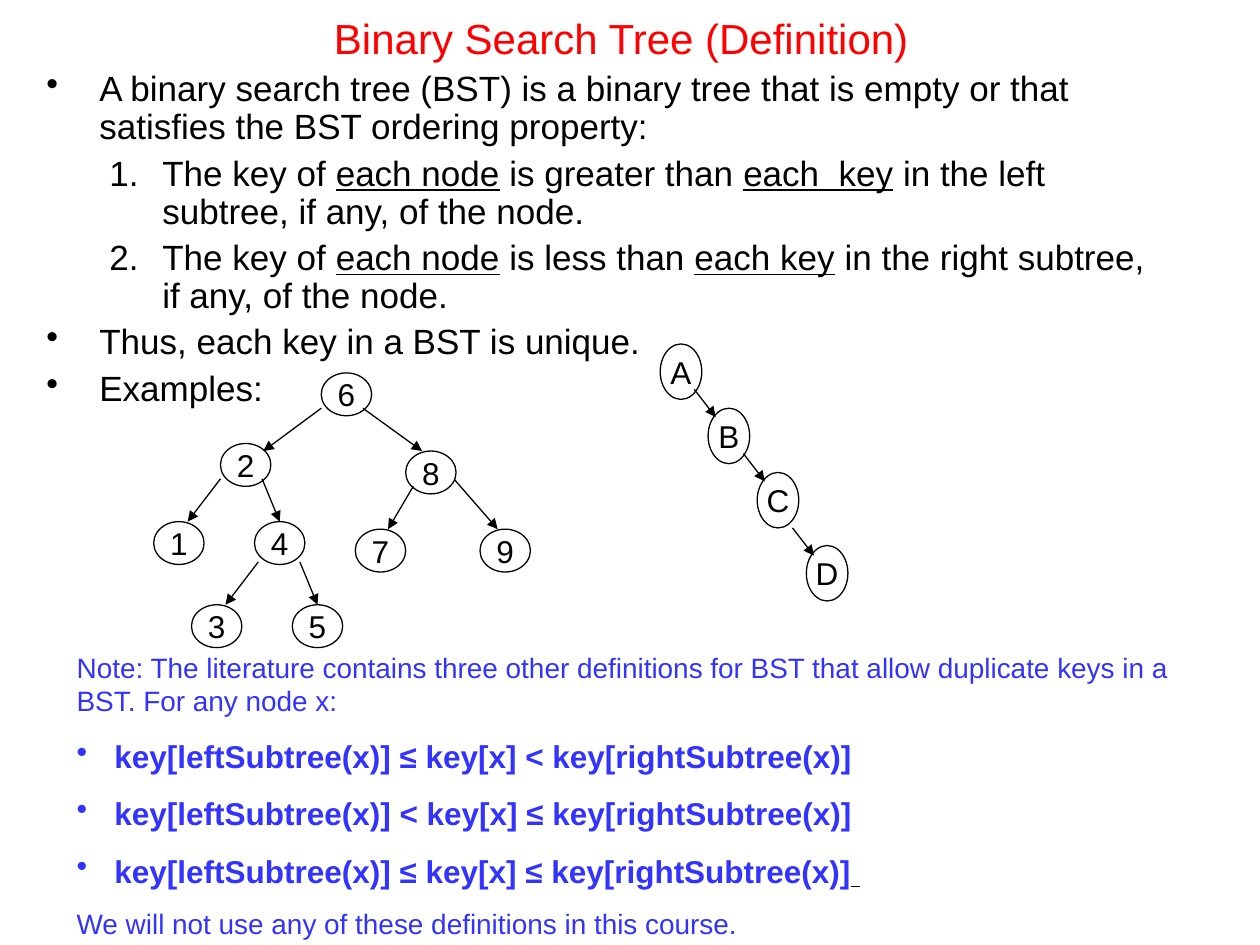
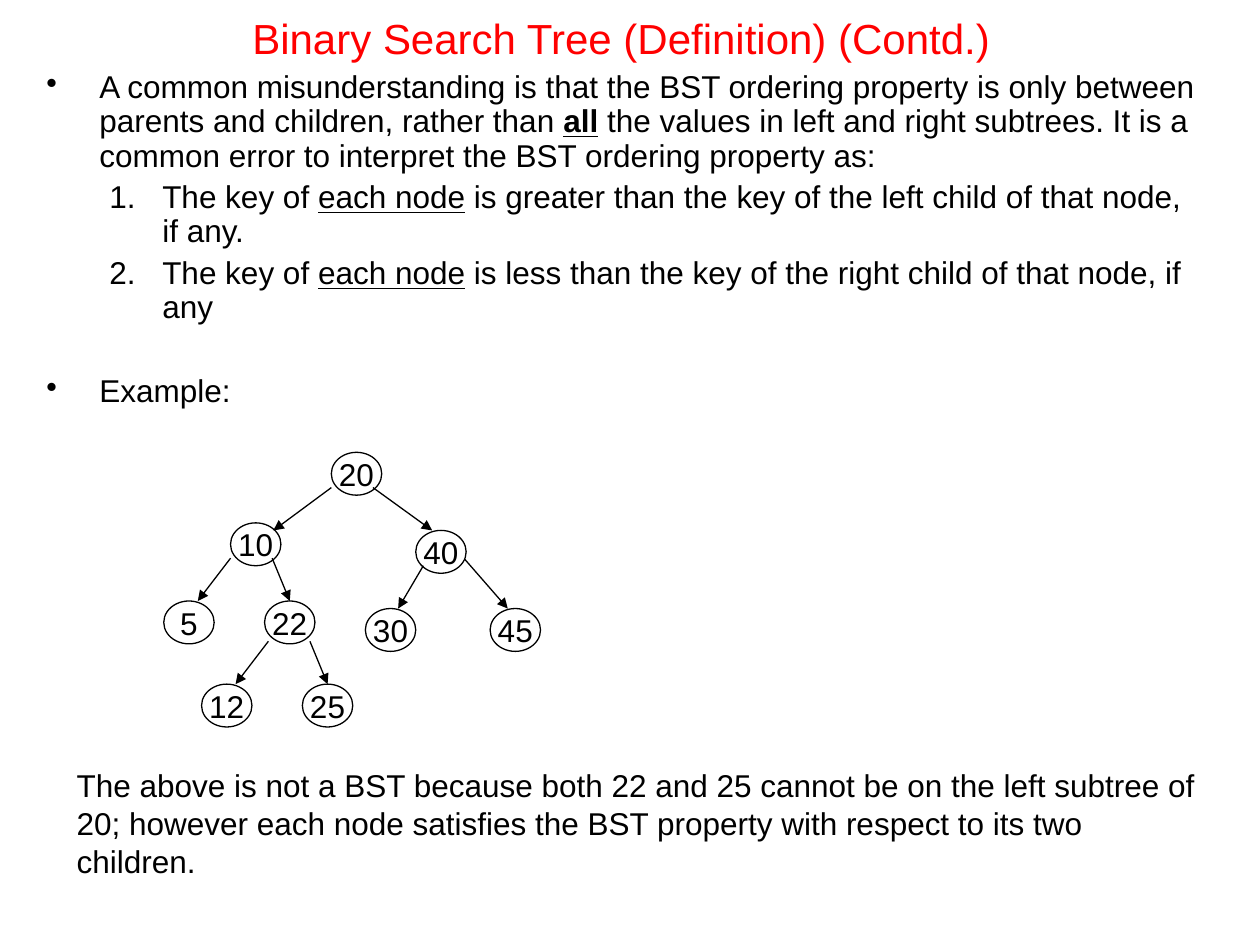
"""Build two slides that define binary search trees and show example trees."""
from dataclasses import dataclass

from lxml import etree
from pptx import Presentation
from pptx.dml.color import RGBColor
from pptx.enum.shapes import MSO_CONNECTOR, MSO_SHAPE
from pptx.enum.text import MSO_ANCHOR, PP_ALIGN
from pptx.oxml.ns import qn
from pptx.util import Inches, Pt

ELLIPSE = MSO_SHAPE.OVAL
STRAIGHT = MSO_CONNECTOR.STRAIGHT
MIDDLE = MSO_ANCHOR.MIDDLE
TOP = MSO_ANCHOR.TOP
CENTER = PP_ALIGN.CENTER
LEFT = PP_ALIGN.LEFT


@dataclass(frozen=True)
class Theme:
    font: str = "Arial"
    ink: RGBColor = RGBColor(0x00, 0x00, 0x00)
    title_red: RGBColor = RGBColor(0xFF, 0x00, 0x00)
    note_blue: RGBColor = RGBColor(0x33, 0x33, 0xFF)
    title_size: int = 24
    large_size: int = 20
    text_size: int = 18
    note_size: int = 16
    line_width: float = 0.75


@dataclass(frozen=True)
class ListStyle:
    level: int = 0
    margin: float = 0
    hanging: float = 0
    tag: str = ""
    attribute: str = ""
    value: str = ""


THEME = Theme()
PLAIN = ListStyle()
BULLET = ListStyle(0, 0.42, 0.42, "a:buChar", "char", "•")
NUMBER = ListStyle(1, 0.92, 0.42, "a:buAutoNum", "type", "arabicPeriod")
NOTE_BULLET = ListStyle(0, 0.3, 0.3, "a:buChar", "char", "•")

presentation = Presentation()
presentation.slide_width = Inches(10)
presentation.slide_height = Inches(7.5)
COLUMN = presentation.slide_width // 1000
ROW = presentation.slide_height // 750
BLANK = presentation.slide_layouts[6]


def write_text(shape, paragraphs, color, align=LEFT, anchor=TOP, wrap=True, line_spacing=None):
    """Fill a shape with (list style, size, space before, runs) paragraphs."""
    frame = shape.text_frame
    frame.word_wrap = wrap
    frame.vertical_anchor = anchor
    for index, (style, size, space_before, runs) in enumerate(paragraphs):
        paragraph = frame.add_paragraph() if index else frame.paragraphs[0]
        paragraph.alignment = align
        paragraph.level = style.level
        paragraph.space_before = Pt(space_before)
        if line_spacing:
            paragraph.line_spacing = line_spacing
        if style.tag:
            properties = paragraph._p.get_or_add_pPr()
            properties.set("marL", str(Inches(style.margin)))
            properties.set("indent", str(-Inches(style.hanging)))
            bullet = etree.SubElement(properties, qn(style.tag))
            bullet.set(style.attribute, style.value)
        paragraph.font.name = THEME.font
        paragraph.font.size = Pt(size)
        paragraph.font.color.rgb = color
        for text, *marks in runs:
            run = paragraph.add_run()
            run.text = text
            if "bold" in marks:
                run.font.bold = True
            if "underline" in marks:
                run.font.underline = True
            if "ink" in marks:
                run.font.color.rgb = THEME.ink


def draw_graph(slide, origin, node_size, nodes, labels):
    """Draw labelled nodes, each with an arrow from its parent."""
    group = slide.shapes.add_group_shape()
    left, top = origin
    width, height = node_size
    for (x, y, parent, start, end), label in zip(nodes, labels):
        node = group.shapes.add_shape(
            ELLIPSE, (left + x) * COLUMN, (top + y) * ROW, width * COLUMN, height * ROW)
        node.shadow.inherit = False
        node.fill.background()
        node.line.color.rgb = THEME.ink
        node.line.width = Pt(THEME.line_width)
        write_text(node, [(PLAIN, THEME.text_size, 0, [(label,)])],
                   THEME.ink, CENTER, MIDDLE, wrap=False)
        if parent is None:
            continue
        parent_x, parent_y = nodes[parent][:2]
        arrow = group.shapes.add_connector(
            STRAIGHT,
            (left + parent_x + start[0]) * COLUMN, (top + parent_y + start[1]) * ROW,
            (left + x + end[0]) * COLUMN, (top + y + end[1]) * ROW)
        arrow.line.color.rgb = THEME.ink
        arrow.line.width = Pt(THEME.line_width)
        etree.SubElement(arrow.line._get_or_add_ln(), qn("a:tailEnd")).set("type", "triangle")
        etree.SubElement(arrow._element.spPr, qn("a:effectLst"))


TREE_NODE_SIZE = (40, 34)
TREE_NODES = [
    (0, 0, None, None, None),
    (-80, 56, 0, (0, 28), (34, 6)),
    (67, 62, 0, (33, 28), (13, 0)),
    (-133, 118, 1, (0, 28), (27, 0)),
    (-53, 118, 1, (33, 28), (20, 0)),
    (27, 124, 2, (6, 28), (26, 0)),
    (126, 124, 2, (39, 23), (14, 0)),
    (-103, 184, 4, (3, 32), (27, 0)),
    (-23, 184, 4, (36, 32), (20, 0)),
]
CHAIN_NODE_SIZE = (33, 44)
CHAIN_NODES = [
    (0, 0, None, None, None),
    (38, 51, 0, (27, 36), (6, 7)),
    (77, 102, 1, (28, 36), (6, 7)),
    (116, 160, 2, (28, 44), (6, 8)),
]

definition_body = [
    (BULLET, THEME.large_size, 5, [
        ("A binary search tree (BST) is a binary tree that is empty or that "
         "satisfies the BST ordering property:",)]),
    (NUMBER, THEME.large_size, 5, [
        ("The key of ",), ("each node", "underline"), (" is greater than ",),
        ("each  key", "underline"), (" in the left subtree, if any, of the node.",)]),
    (NUMBER, THEME.large_size, 5, [
        ("The key of ",), ("each node", "underline"), (" is less than ",),
        ("each key", "underline"), (" in the right subtree, if any, of the node.",)]),
    (BULLET, THEME.large_size, 5, [("Thus, each key in a BST is unique.",)]),
    (BULLET, THEME.large_size, 5, [("Examples:",)]),
]
definition_note = [
    (PLAIN, THEME.note_size, 10, [
        ("Note: The literature contains three other definitions for BST that allow "
         "duplicate keys in a BST. For any node x:",)]),
    (NOTE_BULLET, THEME.text_size, 11.2, [
        ("key[leftSubtree(x)] ≤ key[x] < key[rightSubtree(x)]", "bold")]),
    (NOTE_BULLET, THEME.text_size, 11.2, [
        ("key[leftSubtree(x)] < key[x] ≤ key[rightSubtree(x)]", "bold")]),
    (NOTE_BULLET, THEME.text_size, 11.2, [
        ("key[leftSubtree(x)] ≤ key[x] ≤ key[rightSubtree(x)]", "bold"),
        (" ", "underline", "ink")]),
    (PLAIN, THEME.note_size, 10, [
        ("We will not use any of these definitions in this course.",)]),
]
misunderstanding_body = [
    (BULLET, THEME.text_size, 4.5, [
        ("A common misunderstanding is that the BST ordering property is only between "
         "parents and children, rather than ",),
        ("all", "bold", "underline"),
        (" the values in left and right subtrees. It is a common error to interpret "
         "the BST ordering property as:",)]),
    (NUMBER, THEME.text_size, 4.5, [
        ("The key of ",), ("each node", "underline"),
        (" is greater than the key of the left child of that node, if any.",)]),
    (NUMBER, THEME.text_size, 4.5, [
        ("The key of ",), ("each node", "underline"),
        (" is less than the key of the right child of that node, if any",)]),
    (BULLET, THEME.text_size, 28.5, [("Example:",)]),
]
misunderstanding_note = [
    (PLAIN, THEME.text_size, 11.2, [
        ("The above is not a BST because both 22 and 25 cannot be on the left subtree "
         "of 20; however each node satisfies the BST property with respect to its two "
         "children.",)]),
]

TREE = (TREE_NODE_SIZE, TREE_NODES)
CHAIN = (CHAIN_NODE_SIZE, CHAIN_NODES)
slides = [
    ("Binary Search Tree (Definition)", definition_body, 900,
     definition_note, (511, 241), THEME.note_blue,
     [((255, 296), *TREE, "628147935"), ((524, 273), *CHAIN, "ABCD")]),
    ("Binary Search Tree (Definition) (Contd.)", misunderstanding_body, 937,
     misunderstanding_note, (603, 100), THEME.ink,
     [((263, 359), *TREE, ["20", "10", "40", "5", "22", "30", "45", "12", "25"])]),
]

for title, body, body_width, note, (note_top, note_height), note_color, graphs in slides:
    slide = presentation.slides.add_slide(BLANK)
    title_box = slide.shapes.add_textbox(43 * COLUMN, 0, 900 * COLUMN, 60 * ROW)
    write_text(title_box, [(PLAIN, THEME.title_size, 0, [(title,)])],
               THEME.title_red, CENTER, MIDDLE)
    body_box = slide.shapes.add_textbox(27 * COLUMN, 52 * ROW, body_width * COLUMN, 299 * ROW)
    write_text(body_box, body, THEME.ink, line_spacing=0.9)
    for graph in graphs:
        draw_graph(slide, *graph)
    note_box = slide.shapes.add_textbox(
        51 * COLUMN, note_top * ROW, 912 * COLUMN, note_height * ROW)
    write_text(note_box, note, note_color)

presentation.save("out.pptx")
